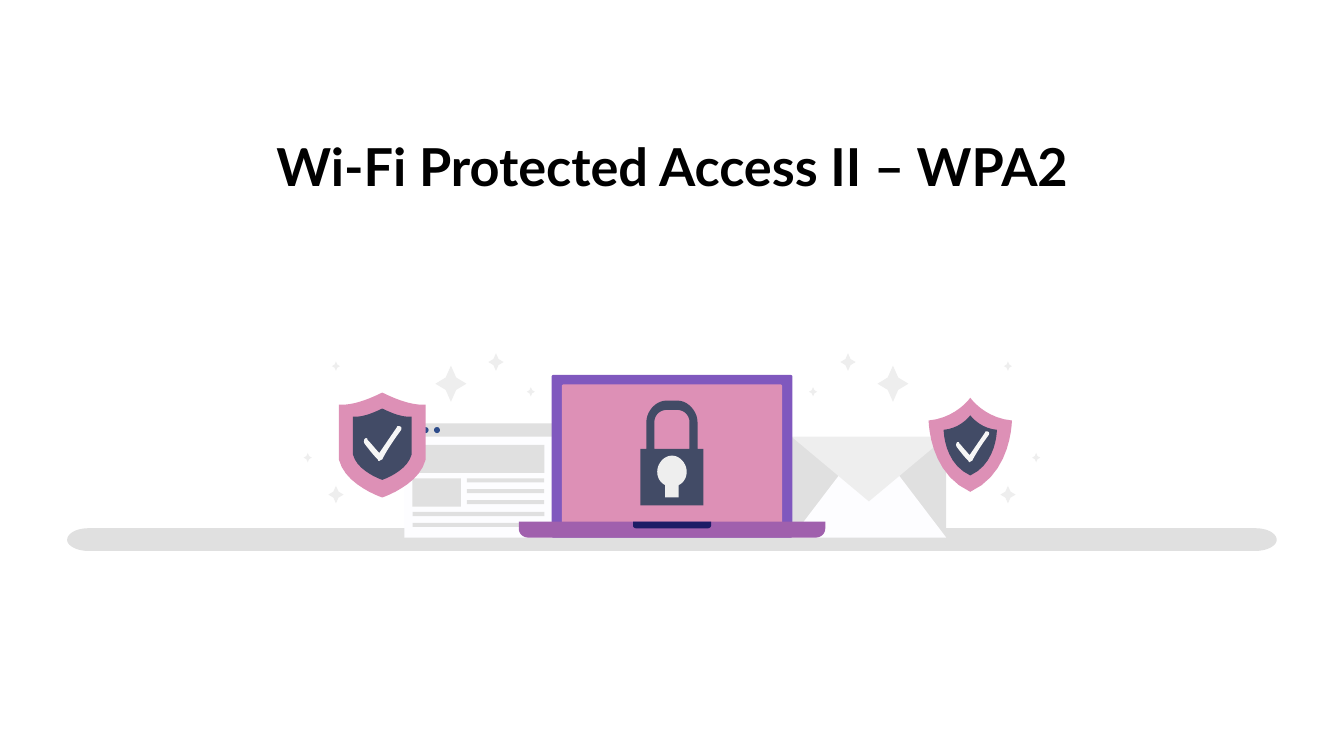
"""Build the WPA2 title slide with its security illustration."""

from dataclasses import dataclass
from typing import NamedTuple

from pptx import Presentation
from pptx.dml.color import RGBColor
from pptx.enum.shapes import MSO_SHAPE as Preset
from pptx.enum.text import MSO_ANCHOR as Anchor, MSO_AUTO_SIZE as AutoSize, PP_ALIGN as Align
from pptx.shapes.autoshape import Shape
from pptx.slide import Slide
from pptx.util import Pt


@dataclass(frozen=True)
class Theme:
    font: str = "Lato"
    title_size: float = 28
    title: str = "000000"
    white: str = "FFFFFF"
    paper: str = "FDFDFF"
    gray: str = "E0E0E0"
    pale: str = "EEEEEE"
    tick: str = "F6F6F6"
    pink: str = "DD90B6"
    slate: str = "424B66"
    dot: str = "2D4C8A"
    lid: str = "8058BE"
    base: str = "A060AD"
    notch: str = "1C1C66"


class Box(NamedTuple):
    left: float
    top: float
    width: float
    height: float
    color: str
    preset: Preset = Preset.RECTANGLE
    adjustment: float | None = None


class Shield(NamedTuple):
    center: float
    top: float
    half: list
    inner_top: float
    inner_scale: float
    tick_left: float
    tick_top: float
    tick_scale: float


class Sparkle(NamedTuple):
    offset: float
    middle: float
    width: float
    height: float


Point = tuple[float, float]
THEME = Theme()
CENTER = 360
ENVELOPE_CENTER = 465.5
CURVE_STEPS = 10

SHELF = [(0, 283), (312.5, 283), (319, 283, 324, 285.8, 324, 289.3),
         (324, 292.3, 319, 295.2, 312.5, 295.2), (0, 295.2)]
ENVELOPE_FRONT = [(0, 254.9), (16.2, 254.9), (41.4, 288), (0, 288)]
ENVELOPE_FLAP = [(0, 234), (41.4, 234), (0, 268.6)]
LAPTOP_BASE = [(0, 279.4), (82.1, 279.4), (82.1, 283), (82.1, 285.8, 79.9, 288, 77, 288), (0, 288)]
LAPTOP_NOTCH = [(0, 279.4), (20.9, 279.4), (20.9, 281.5),
                (20.9, 282.3, 20.2, 283, 19.4, 283), (0, 283)]
LOCK = [(0, 214.6), (2.9, 214.6), (8.6, 214.6, 13.7, 220.3, 13.7, 226), (13.7, 240.5),
        (16.9, 240.5), (16.9, 270.7), (0, 270.7)]
LOCK_OPENING = [(0, 219.6), (2.9, 219.6), (6.5, 219.6, 9.4, 222.5, 9.4, 226), (9.4, 240.5), (0, 240.5)]
KEYHOLE = [(0, 244.1), (4.3, 244.1, 7.9, 248.4, 7.9, 252.7),
           (7.9, 255.6, 6.5, 258.5, 3.6, 259.9), (3.6, 266.4), (0, 266.4)]
POINTED_SHIELD = [(0, 0), (0, 0, 7.4, 10.8, 22.3, 12.2), (22.3, 12.2, 22.3, 40.3, 0, 50.4)]
SQUARE_SHIELD = [(0, 0), (12.2, 6.1, 18.7, 6.5, 21.6, 6.5), (23.2, 6.5), (23.2, 36),
                 (19.8, 49.7, 0, 56.2, 0, 56.2)]
TICK = [(18.7, 0), (18.7, 0, 18, 0, 18, 0.7), (8.6, 14.4), (6.5, 12.2, 4.3, 9.4, 2.2, 7.2),
        (2.2, 6.5, 2.2, 6.5, 1.4, 6.5), (0.7, 6.5, 0, 7.9, 0.7, 9.4),
        (2.9, 12.2, 5, 15.1, 7.9, 18), (7.9, 18, 7.9, 18.7, 8.6, 18.7),
        (8.6, 18.7, 9.4, 18, 10.1, 18), (13, 12.2, 16.6, 7.2, 20.2, 2.2),
        (20.9, 0.7, 20.2, 0, 18.7, 0)]

BROWSER = [
    Box(216.7, 226.8, 79.2, 61.2, THEME.paper),
    Box(216.7, 226.8, 79.2, 7.2, THEME.gray),
    *[Box(220.3 + 6.1 * i, 228.8, 3.2, 3.2, THEME.dot, Preset.OVAL) for i in range(3)],
    Box(221, 238.3, 70.6, 15.1, THEME.gray),
    Box(221, 256.3, 25.9, 15.1, THEME.gray),
    *[Box(250.1, 256.3 + 5.8 * i, 41.5, 2.2, THEME.gray) for i in range(3)],
    *[Box(221, 274.3 + 5.8 * i, 70.6, 2.2, THEME.gray) for i in range(2)],
]
ENVELOPE_BACK = Box(424.1, 234, 82.8, 54, THEME.gray)
LAPTOP_LID = Box(295.5, 200.9, 129, 87.1, THEME.lid, Preset.ROUNDED_RECTANGLE, 0.01)
LAPTOP_SCREEN = Box(301, 206, 118, 76.7, THEME.pink, Preset.ROUNDED_RECTANGLE, 0.01)
SHIELDS = [
    Shield(519.8, 213.1, POINTED_SHIELD, 222.5, 0.64, -7.9, 18, 0.88),
    Shield(204.8, 210.3, SQUARE_SHIELD, 218.9, 0.68, -10.2, 18, 1),
]
SMALL, MEDIUM, LARGE = (4.3, 5), (8.2, 9.4), (16.6, 19.4)
SPARKLES = [
    Sparkle(75.6, 209.9, *SMALL), Sparkle(94.3, 194, *MEDIUM), Sparkle(118.4, 205.6, *LARGE),
    Sparkle(180, 265, *MEDIUM), Sparkle(195.1, 245.2, *SMALL), Sparkle(180, 196.2, *SMALL),
]


def paint(shape: Shape, color: str) -> None:
    shape.shadow.inherit = False
    shape.fill.solid()
    shape.fill.fore_color.rgb = RGBColor.from_string(color)
    shape.line.fill.background()


def draw_box(slide: Slide, box: Box) -> None:
    shape = slide.shapes.add_shape(box.preset, Pt(box.left), Pt(box.top), Pt(box.width), Pt(box.height))
    if box.adjustment is not None:
        shape.adjustments[0] = box.adjustment
    paint(shape, box.color)


def flatten(segments: list) -> list[Point]:
    points = [segments[0]]
    for segment in segments[1:]:
        if len(segment) == 2:
            points.append(segment)
            continue
        controls = [points[-1], segment[:2], segment[2:4], segment[4:]]
        for step in range(1, CURVE_STEPS + 1):
            t = step / CURVE_STEPS
            weights = ((1 - t) ** 3, 3 * t * (1 - t) ** 2, 3 * t * t * (1 - t), t ** 3)
            points.append(tuple(sum(w * c[axis] for w, c in zip(weights, controls)) for axis in (0, 1)))
    return points


def mirror(half: list) -> list[Point]:
    points = flatten(half)
    return points + [(-x, y) for x, y in reversed(points)]


def draw_outline(slide: Slide, contours: list[list[Point]], color: str,
                 left: float = CENTER, top: float = 0, scale: float = 1) -> None:
    placed = [[(Pt(left + x * scale), Pt(top + y * scale)) for x, y in contour] for contour in contours]
    builder = slide.shapes.build_freeform(*placed[0][0])
    builder.add_line_segments(placed[0][1:])
    for contour in placed[1:]:
        builder.move_to(*contour[0])
        builder.add_line_segments(contour[1:])
    paint(builder.convert_to_shape(), color)


def draw_shield(slide: Slide, shield: Shield) -> None:
    outline = [mirror(shield.half)]
    draw_outline(slide, outline, THEME.pink, shield.center, shield.top)
    draw_outline(slide, outline, THEME.slate, shield.center, shield.inner_top, shield.inner_scale)
    draw_outline(slide, [flatten(TICK)], THEME.tick, shield.center + shield.tick_left,
                 shield.top + shield.tick_top, shield.tick_scale)


def draw_sparkle(slide: Slide, sparkle: Sparkle, side: int) -> None:
    left = CENTER + side * sparkle.offset - sparkle.width / 2
    draw_box(slide, Box(left, sparkle.middle - sparkle.height / 2, sparkle.width, sparkle.height,
                        THEME.pale, Preset.STAR_4_POINT, 0.24))


def write_title(slide: Slide, text: str) -> None:
    title = slide.shapes.title
    title.left, title.top, title.width, title.height = Pt(36), Pt(64.8), Pt(648), Pt(45.4)
    frame = title.text_frame
    frame.text = text
    frame.word_wrap = True
    frame.auto_size = AutoSize.NONE
    frame.vertical_anchor = Anchor.TOP
    frame.margin_left = frame.margin_right = frame.margin_top = frame.margin_bottom = Pt(7.2)
    paragraph = frame.paragraphs[0]
    paragraph.alignment = Align.CENTER
    font = paragraph.runs[0].font
    font.name, font.size, font.bold = THEME.font, Pt(THEME.title_size), True
    font.color.rgb = RGBColor.from_string(THEME.title)


def main() -> None:
    presentation = Presentation()
    presentation.slide_width, presentation.slide_height = Pt(720), Pt(405)
    slide = presentation.slides.add_slide(presentation.slide_layouts[5])
    slide.background.fill.solid()
    slide.background.fill.fore_color.rgb = RGBColor.from_string(THEME.white)
    write_title(slide, "Wi-Fi Protected Access II – WPA2")
    draw_outline(slide, [mirror(SHELF)], THEME.gray)
    for box in [*BROWSER, ENVELOPE_BACK]:
        draw_box(slide, box)
    draw_outline(slide, [mirror(ENVELOPE_FRONT)], THEME.paper, ENVELOPE_CENTER)
    draw_outline(slide, [mirror(ENVELOPE_FLAP)], THEME.pale, ENVELOPE_CENTER)
    for shield in SHIELDS:
        draw_shield(slide, shield)
    for box in (LAPTOP_LID, LAPTOP_SCREEN):
        draw_box(slide, box)
    draw_outline(slide, [mirror(LAPTOP_BASE)], THEME.base)
    draw_outline(slide, [mirror(LAPTOP_NOTCH)], THEME.notch)
    draw_outline(slide, [mirror(LOCK), mirror(LOCK_OPENING)], THEME.slate)
    draw_outline(slide, [mirror(KEYHOLE)], THEME.pale)
    for side in (1, -1):
        for sparkle in SPARKLES:
            draw_sparkle(slide, sparkle, side)
    presentation.save("out.pptx")


if __name__ == "__main__":
    main()
